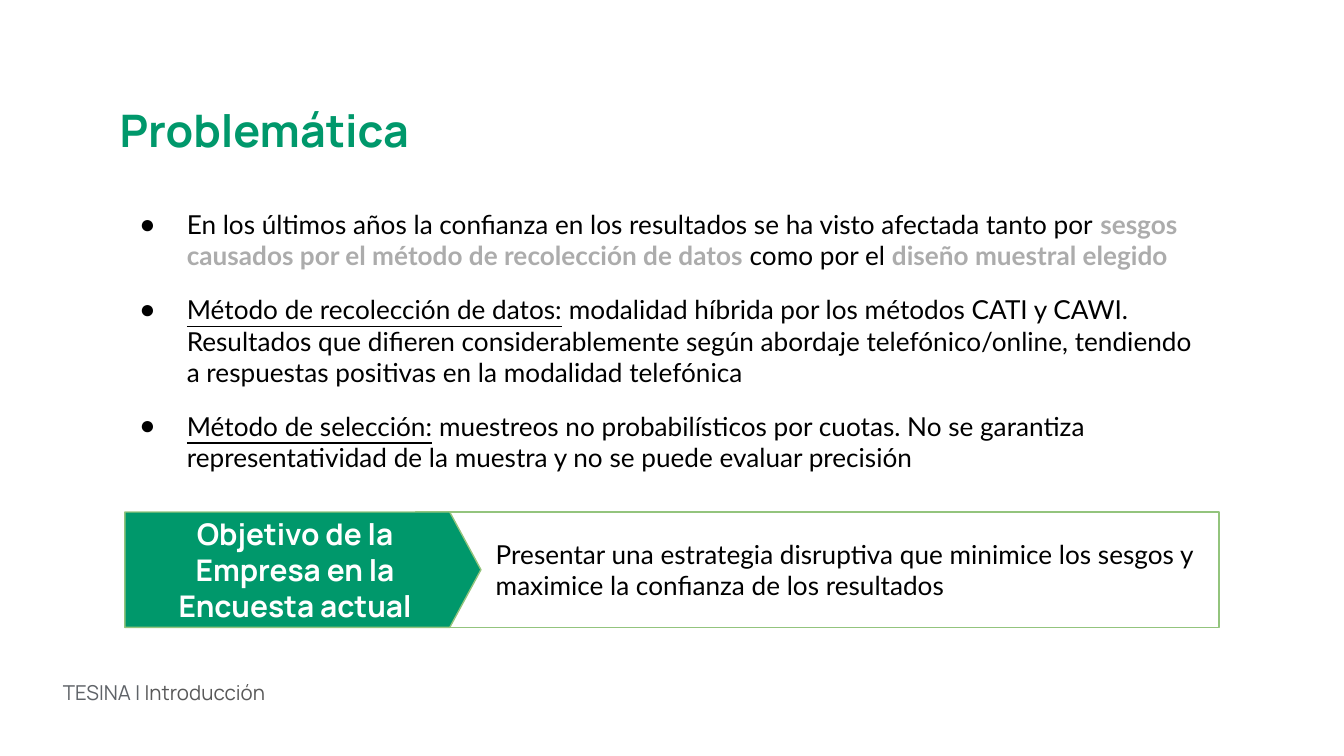
from lxml import etree
from pptx import Presentation
from pptx.dml.color import RGBColor
from pptx.enum.shapes import MSO_SHAPE
from pptx.enum.text import MSO_ANCHOR, MSO_AUTO_SIZE, PP_ALIGN
from pptx.oxml.ns import qn
from pptx.util import Cm, Pt

RECTANGLE, PENTAGON = MSO_SHAPE.RECTANGLE, MSO_SHAPE.PENTAGON
TOP, MIDDLE = MSO_ANCHOR.TOP, MSO_ANCHOR.MIDDLE
LEFT, CENTER = PP_ALIGN.LEFT, PP_ALIGN.CENTER
NO_FIT = MSO_AUTO_SIZE.NONE

HEADING_FONT, BODY_FONT = "Manrope", "Lato"
COLORS = {
    "green": "00986B", "border": "93C47D", "muted": "ACACAC", "text": "000000",
    "white": "FFFFFF", "footer": "5F6368", "section": "595959",
}

TITLE = "Problemática"
# Each bullet is a list of (text, style) spans
BULLETS = [
    [("En los últimos años la confianza en los resultados se ha visto afectada tanto por ", "plain"),
     ("sesgos causados por el método de recolección de datos ", "muted"),
     ("como por el ", "plain"),
     ("diseño muestral elegido", "muted")],
    [("Método de recolección de datos:", "underlined"),
     (" modalidad híbrida por los métodos CATI y CAWI. Resultados que difieren "
      "considerablemente según abordaje telefónico/online, tendiendo a respuestas "
      "positivas en la modalidad telefónica", "plain")],
    [("Método de selección:", "underlined"),
     (" muestreos no probabilísticos por cuotas. No se garantiza representatividad "
      "de la muestra y no se puede evaluar precisión", "plain")],
]
GOAL_LABEL = "Objetivo de la Empresa en la Encuesta actual"
GOAL = "Presentar una estrategia disruptiva que minimice los sesgos y maximice la confianza de los resultados"
FOOTER = [("TESINA | ", "footer"), ("Introducción", "section")]

# Left, top, width, height in cm
TITLE_AREA = (2.01, 1.7, 16.89, 1.55)
BODY_AREA = (2.01, 3.81, 20.88, 5.31)
GOAL_AREA = (7.85, 9.68, 15.19, 2.18)
LABEL_AREA = (2.36, 9.68, 6.73, 2.18)
FOOTER_AREA = (0.94, 12.73, 13.67, 0.74)


def rgb(name):
    return RGBColor.from_string(COLORS[name])


def place(shape, area):
    shape.left, shape.top, shape.width, shape.height = map(Cm, area)


def set_frame(frame, anchor, side=0.25, vertical=0.25):
    frame.word_wrap = True
    frame.auto_size = NO_FIT
    frame.vertical_anchor = anchor
    frame.margin_left = frame.margin_right = Cm(side)
    frame.margin_top = frame.margin_bottom = Cm(vertical)


def set_font(font, name, size, color=None, bold=False):
    font.name, font.size, font.bold = name, Pt(size), bold
    if color:
        font.color.rgb = rgb(color)


def add_bullet(para):
    properties = para._p.get_or_add_pPr()
    properties.set("marL", str(Cm(1.27)))
    properties.set("indent", str(Cm(-0.89)))
    color = etree.SubElement(properties, qn("a:buClr"))
    etree.SubElement(color, qn("a:srgbClr"), val=COLORS["text"])
    etree.SubElement(properties, qn("a:buChar"), char="●")


def add_panel(group, kind, area, fill, text, align, font):
    panel = group.shapes.add_shape(kind, *map(Cm, area))
    panel.shadow.inherit = False
    panel.fill.solid()
    panel.fill.fore_color.rgb = rgb(fill)
    panel.line.color.rgb = rgb("border")
    panel.line.width = Pt(0.75)
    set_frame(panel.text_frame, MIDDLE)
    para = panel.text_frame.paragraphs[0]
    para.text, para.alignment = text, align
    set_font(para.font, *font)
    return panel


def main():
    deck = Presentation()
    deck.slide_width, deck.slide_height = Cm(25.4), Cm(14.29)
    page = deck.slides.add_slide(deck.slide_layouts[1])

    title, body = page.shapes.title, page.placeholders[1]
    place(title, TITLE_AREA)
    set_frame(title.text_frame, TOP)
    para = title.text_frame.paragraphs[0]
    para.text, para.alignment = TITLE, LEFT
    set_font(para.font, HEADING_FONT, 24, "green", True)

    place(body, BODY_AREA)
    frame = body.text_frame
    set_frame(frame, TOP, vertical=0.13)
    for index, spans in enumerate(BULLETS):
        para = frame.add_paragraph() if index else frame.paragraphs[0]
        para.space_before = para.space_after = Pt(6)
        add_bullet(para)
        set_font(para.font, BODY_FONT, 14)
        for text, style in spans:
            span = para.add_run()
            span.text = text
            span.font.bold = style == "muted"
            span.font.underline = style == "underlined"
            span.font.color.rgb = rgb("muted" if style == "muted" else "text")

    group = page.shapes.add_group_shape()
    goal = add_panel(group, RECTANGLE, GOAL_AREA, "white", GOAL, LEFT,
                     (BODY_FONT, 14, "text"))
    goal.text_frame.margin_left = Cm(1.52)  # clears the arrow tip
    label = add_panel(group, PENTAGON, LABEL_AREA, "green", GOAL_LABEL, CENTER,
                      (HEADING_FONT, 16, "white", True))
    label.adjustments[0] = 0.27

    footer = page.shapes.add_textbox(*map(Cm, FOOTER_AREA))
    set_frame(footer.text_frame, TOP, vertical=0.13)
    para = footer.text_frame.paragraphs[0]
    set_font(para.font, HEADING_FONT, 11)
    for text, color in FOOTER:
        span = para.add_run()
        span.text = text
        span.font.color.rgb = rgb(color)

    deck.save("out.pptx")


if __name__ == "__main__":
    main()
